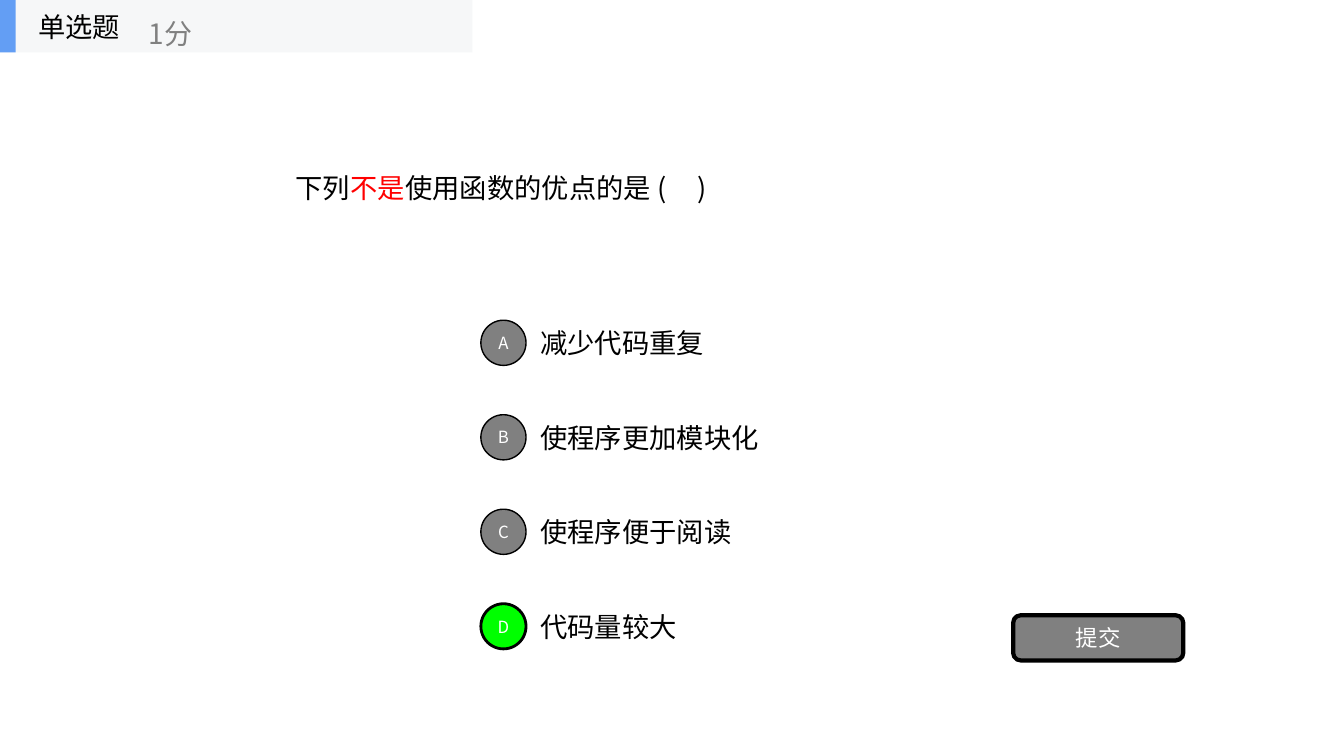
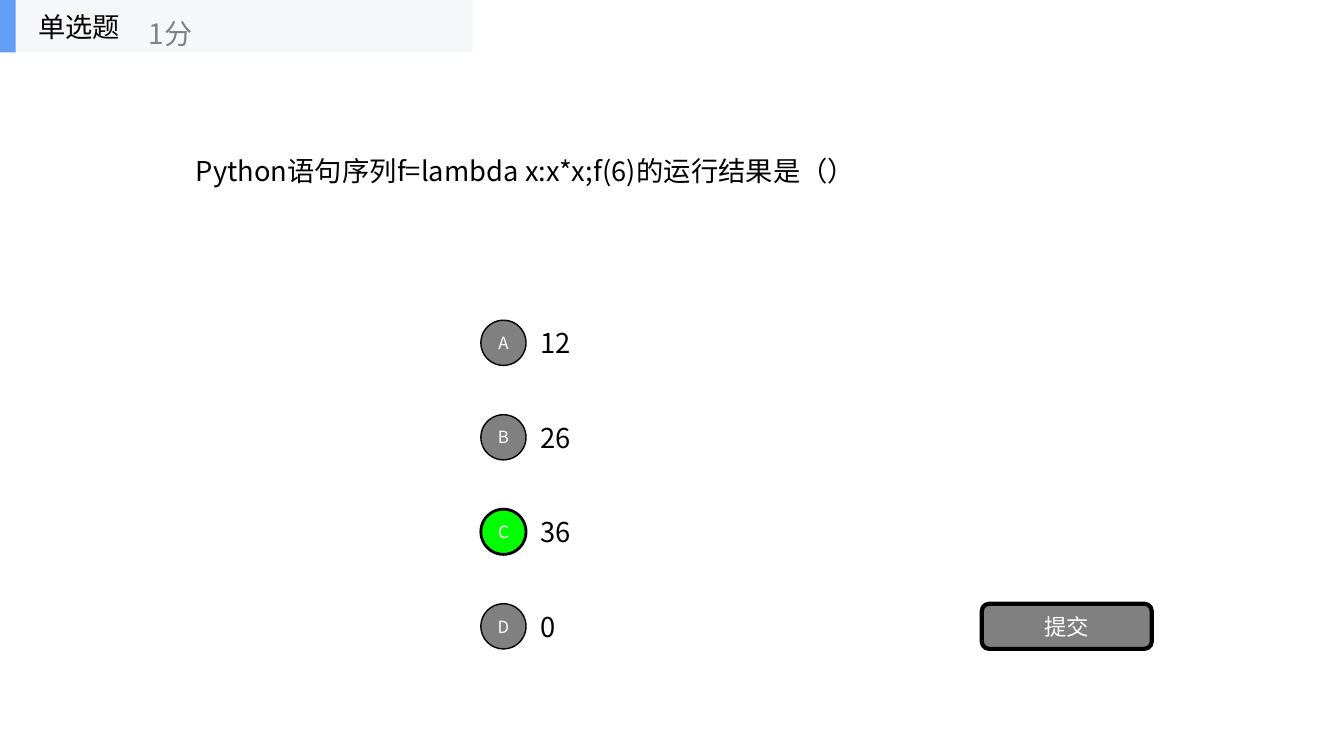
import pptx
import pptx.dml.color
import pptx.enum.shapes
import pptx.enum.text
import pptx.oxml.ns
import pptx.util
from lxml import etree

PX = 9525
FONT = "Noto Sans CJK SC"
COLORS = {
    "text": "000000",
    "emphasis": "FF0000",
    "muted": "808080",
    "correct": "00FF00",
    "on_fill": "FFFFFF",
    "band": "F6F7F8",
    "accent": "639EF4",
}
SHAPES = pptx.enum.shapes.MSO_SHAPE
ALIGN = pptx.enum.text.PP_ALIGN

BODY_SIZE = 19.5
HEADER_BOX = (0, 0, 450, 50)
OPTIONS_BOX = (458, 293, 362, 337)
OPTION_PITCH = 90
OPTION_HEIGHT = 67
BADGE = 43
BUTTON_SIZE = (162, 43)

QUESTIONS = [
    {
        "stem": [("下列", "text"), ("不是", "emphasis"), ("使用函数的优点的是 (     )", "text")],
        "stem_box": (272, 66, 496, 225),
        "options": ["减少代码重复", "使程序更加模块化", "使程序便于阅读", "代码量较大"],
        "answer": "D",
        "button_at": (965, 586),
    },
    {
        "stem": [("Python语句序列f=lambda x:x*x;f(6)的运行结果是（）", "text")],
        "stem_box": (177, 50, 805, 225),
        "options": ["12", "26", "36", "0"],
        "answer": "C",
        "button_at": (935, 575),
    },
]


def rgb(color):
    return pptx.dml.color.RGBColor.from_string(COLORS[color])


def emu(box):
    return [pptx.util.Emu(length * PX) for length in box]


def write(frame, runs, size, align=ALIGN.LEFT):
    """Fill a text frame with one paragraph of (text, colour) runs."""
    frame.word_wrap = True
    frame.vertical_anchor = pptx.enum.text.MSO_ANCHOR.MIDDLE
    paragraph = frame.paragraphs[0]
    paragraph.alignment = align
    paragraph.font.size = pptx.util.Pt(size)
    paragraph.font.name = FONT
    properties = paragraph.font._element
    etree.SubElement(properties, pptx.oxml.ns.qn("a:ea"), typeface=FONT)
    if len(runs) == 1:
        paragraph.font.color.rgb = rgb(runs[0][1])
    for text, color in runs:
        run = paragraph.add_run()
        run.text = text
        if len(runs) > 1:
            run.font.color.rgb = rgb(color)


def add_label(shapes, box, runs, size=BODY_SIZE):
    write(shapes.add_textbox(*emu(box)).text_frame, runs, size)


def add_panel(shapes, kind, box, fill, line_width=0):
    panel = shapes.add_shape(kind, *emu(box))
    panel.shadow.inherit = False
    panel.fill.solid()
    panel.fill.fore_color.rgb = rgb(fill)
    if line_width:
        panel.line.color.rgb = rgb("text")
        panel.line.width = pptx.util.Pt(line_width)
    else:
        panel.line.fill.background()
    return panel


def add_control(shapes, kind, box, fill, line_width, caption, size):
    """Add an outlined shape with a centred white caption."""
    frame = add_panel(shapes, kind, box, fill, line_width).text_frame
    frame.margin_left = frame.margin_right = 0
    frame.margin_top = frame.margin_bottom = 0
    write(frame, [(caption, "on_fill")], size, ALIGN.CENTER)


def add_header(slide, box):
    left, top, width, height = box
    shapes = slide.shapes.add_group_shape().shapes
    add_panel(shapes, SHAPES.RECTANGLE, box, "band")
    add_panel(shapes, SHAPES.RECTANGLE, (left, top, 15, height), "accent")
    add_label(shapes, (left + 27, top, 150, height), [("单选题", "text")])
    add_label(shapes, (left + 132, top + 12, 180, 40), [("1分", "muted")], 20)


def add_options(slide, box, options, answer):
    left, top, width, height = box
    text_offset = BADGE + 4
    for index, (letter, option) in enumerate(zip("ABCD", options)):
        row_top = top + index * OPTION_PITCH
        badge_top = row_top + (OPTION_HEIGHT - BADGE) // 2
        fill, line_width = ("correct", 2) if letter == answer else ("muted", 1)
        add_label(
            slide.shapes,
            (left + text_offset, row_top, width - text_offset, OPTION_HEIGHT),
            [(option, "text")],
        )
        add_control(slide.shapes, SHAPES.OVAL, (left, badge_top, BADGE, BADGE),
                    fill, line_width, letter, 12)


def add_question_slide(deck, question):
    slide = deck.slides.add_slide(deck.slide_layouts[6])
    add_label(slide.shapes, question["stem_box"], question["stem"])
    add_options(slide, OPTIONS_BOX, question["options"], question["answer"])
    add_control(slide.shapes, SHAPES.ROUNDED_RECTANGLE,
                question["button_at"] + BUTTON_SIZE, "muted", 3, "提交", 16)
    add_header(slide, HEADER_BOX)


def main():
    deck = pptx.Presentation()
    deck.slide_width, deck.slide_height = emu((1280, 720))
    for question in QUESTIONS:
        add_question_slide(deck, question)
    deck.save("out.pptx")


if __name__ == "__main__":
    main()
